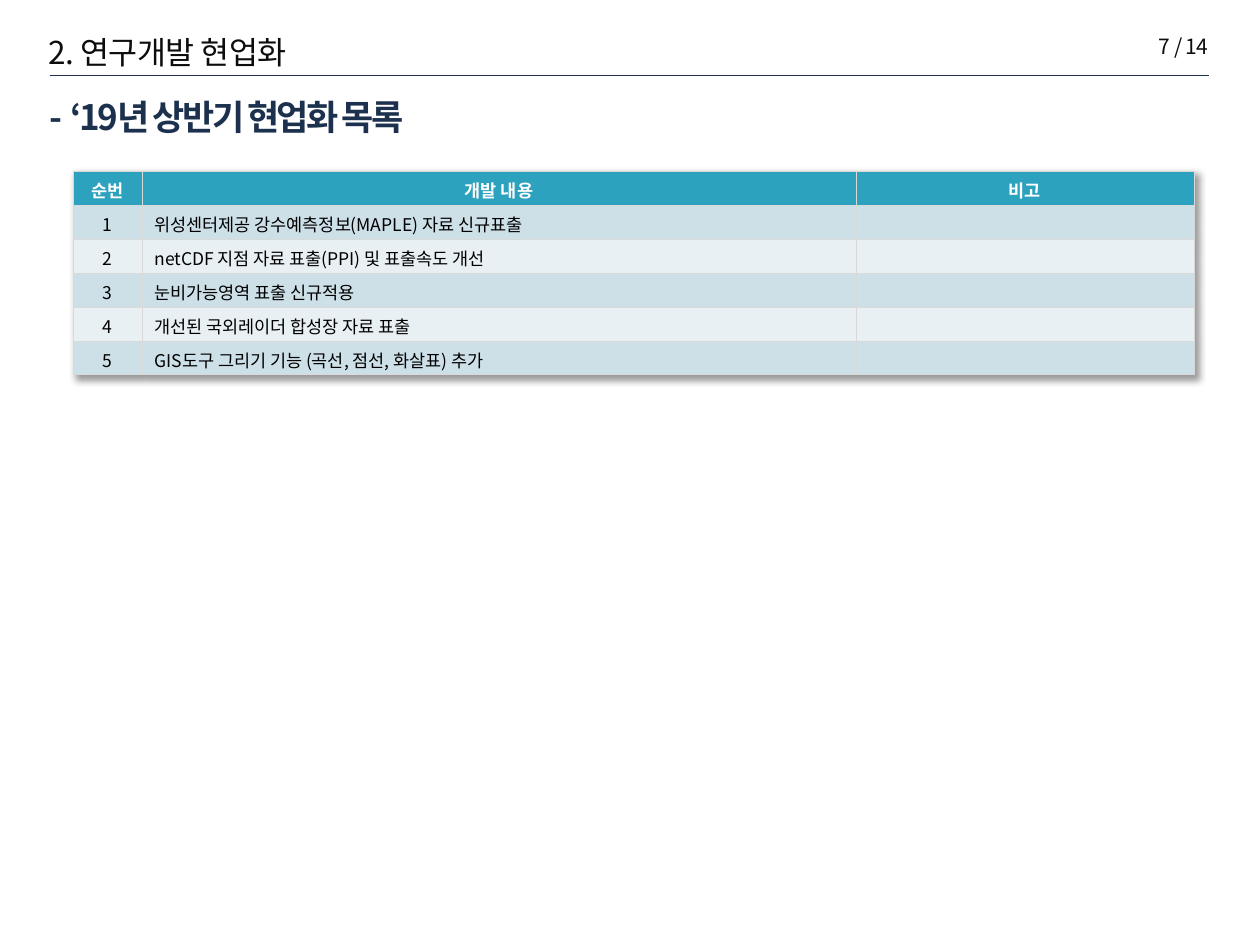
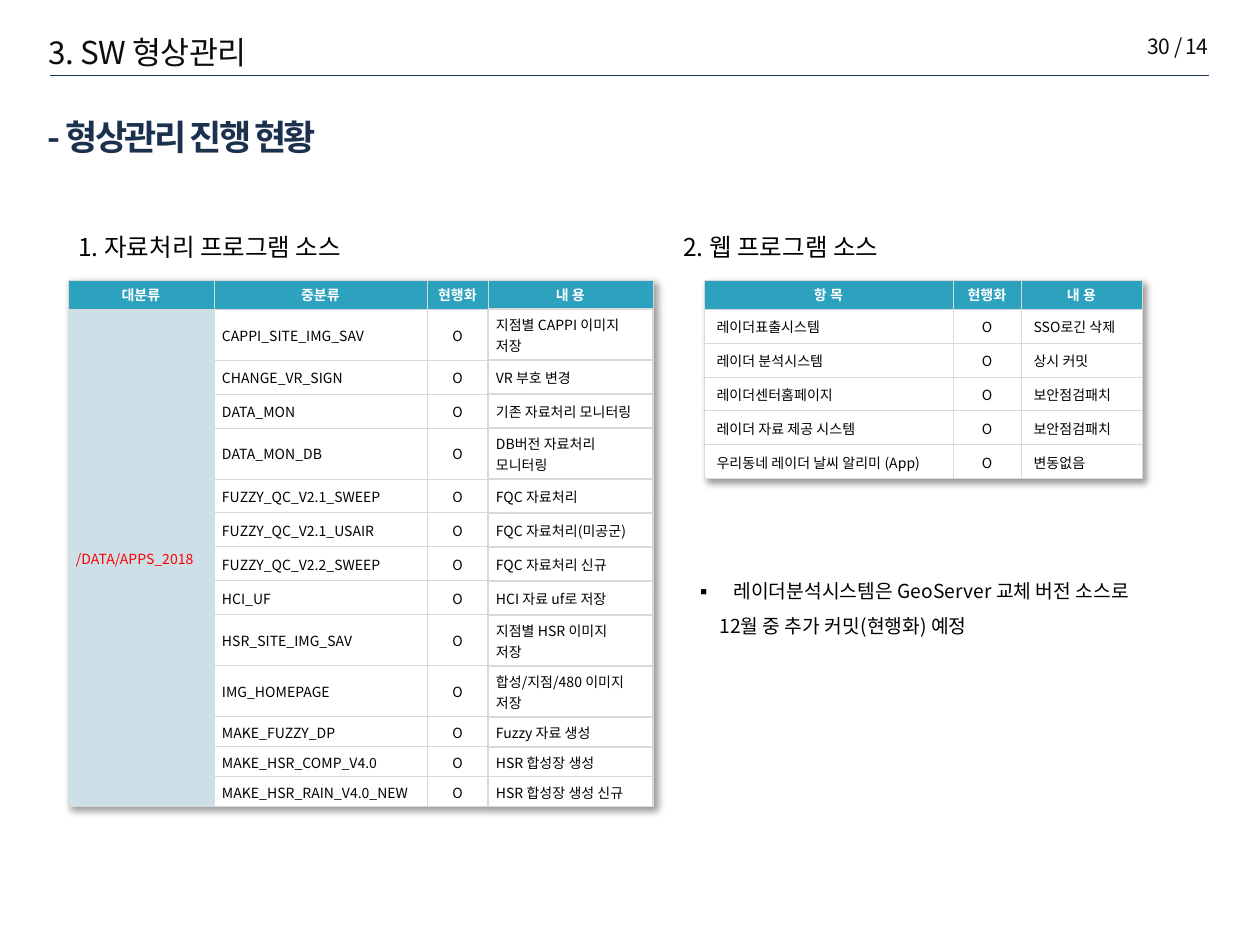
import pptx
import pptx.util
import pptx.dml.color
import pptx.enum.shapes
import pptx.enum.text
import pptx.oxml
import pptx.oxml.ns
import lxml.etree

SCALE = 914400 / 126
FONT = "Noto Sans CJK KR"
NAVY = "1C314E"
INK = "0D0D0D"
BLACK = "000000"
WHITE = "FFFFFF"
RED = "FF0000"
TEAL = "2DA2BF"
PALE = "CDE0E8"
LIGHT = "E8F0F4"
GRID = "D9D9D9"
SHADE = (
    '<a:effectLst xmlns:a="http://schemas.openxmlformats.org/drawingml/2006/main">'
    '<a:outerShdw blurRad="50800" dist="38100" dir="2700000" algn="tl" rotWithShape="0">'
    '<a:srgbClr val="000000"><a:alpha val="40000"/></a:srgbClr>'
    '</a:outerShdw></a:effectLst>'
)
ALIGN = {
    "l": pptx.enum.text.PP_ALIGN.LEFT,
    "c": pptx.enum.text.PP_ALIGN.CENTER,
    "r": pptx.enum.text.PP_ALIGN.RIGHT,
}
TOP = pptx.enum.text.MSO_ANCHOR.TOP
MID = pptx.enum.text.MSO_ANCHOR.MIDDLE
LOW = pptx.enum.text.MSO_ANCHOR.BOTTOM


def px(num):
    return pptx.util.Emu(round(num * SCALE))


def rgb(hue):
    return pptx.dml.color.RGBColor.from_string(hue)


def sub(node, tag, **attrs):
    return lxml.etree.SubElement(node, pptx.oxml.ns.qn(tag), **attrs)


def add_run(para, text, size, hue, bold=False, gap=0):
    run = para.add_run()
    run.text = text
    run.font.size = pptx.util.Pt(size)
    run.font.bold = bold
    run.font.color.rgb = rgb(hue)
    run.font.name = FONT
    props = run._r.get_or_add_rPr()
    props.set("kern", "0")
    sub(props, "a:ea", typeface=FONT)
    if gap:
        props.set("spc", str(round(gap * 100)))


def add_box(slide, left, top, width, height, anchor=TOP):
    box = slide.shapes.add_textbox(px(left), px(top), px(width), px(height))
    frame = box.text_frame
    frame.word_wrap = True
    frame.vertical_anchor = anchor
    return frame


def add_label(slide, left, top, width, height, text, size, hue=BLACK, side="l", gap=0):
    para = add_box(slide, left, top, width, height).paragraphs[0]
    para.alignment = ALIGN[side]
    add_run(para, text, size, hue, gap=gap)


def add_head(slide, title, page):
    add_label(slide, 36, 27, 451, 51, title, 18, INK, gap=-0.3)
    line = slide.shapes.add_connector(
        pptx.enum.shapes.MSO_CONNECTOR.STRAIGHT, px(50), px(75), px(1209), px(75))
    line.line.color.rgb = rgb(NAVY)
    line.line.width = pptx.util.Pt(0.25)
    sub(line._element.spPr, "a:effectLst")
    add_label(slide, 1003, 27, 218, 38, page + " / 14", 12, INK, "r", -0.3)


def add_topic(slide, left, top, text, gap):
    para = add_box(slide, left, top, 964, 81, MID).paragraphs[0]
    add_run(para, "- ", 20, NAVY, True, gap)
    add_run(para, text, 20, NAVY, True, -1.5)


def add_edge(cell, side, width):
    edge = sub(cell._tc.get_or_add_tcPr(), "a:ln" + side, w=str(pptx.util.Pt(width)))
    sub(sub(edge, "a:solidFill"), "a:srgbClr", val=GRID)


def fill_cell(cell, text, size, hue, bold, side, space):
    for num, part in enumerate(text.split("\n")):
        frame = cell.text_frame
        para = frame.add_paragraph() if num else frame.paragraphs[0]
        para.alignment = ALIGN[side]
        if space:
            para.line_spacing = space
        if part:
            add_run(para, part, size, hue, bold)
        else:
            sub(para._p, "a:endParaRPr", sz=str(size * 100))


def pad_cell(cell):
    cell.margin_left = cell.margin_right = px(8)
    cell.margin_top = cell.margin_bottom = px(4)


def add_grid(slide, left, top, cols, highs, rows, sides, size, tone,
             tight=None, span=False):
    shape = slide.shapes.add_table(
        len(rows), len(cols), px(left), px(top), px(sum(cols)), px(sum(highs)))
    grid = shape.table
    grid.first_row = grid.horz_banding = False
    grid._tbl.tblPr.insert(0, pptx.oxml.parse_xml(SHADE))
    for col, width in zip(grid.columns, cols):
        col.width = px(width)
    for row, high in zip(grid.rows, highs):
        row.height = px(high)
    if span:
        grid.cell(1, 0).merge(grid.cell(len(rows) - 1, 0))
    last = len(cols) - 1
    for r, row in enumerate(rows):
        for c, text in enumerate(row):
            cell = grid.cell(r, c)
            for side in "LRTB":
                thick = span and r and (c == last or (c == last - 1 and side == "R"))
                add_edge(cell, side, 1 if thick else 0.5)
            cell.fill.solid()
            cell.fill.fore_color.rgb = rgb(tone(r, c) if r else TEAL)
            if tight:
                cell.vertical_anchor = MID if r else LOW
                if tight(r, c):
                    pad_cell(cell)
            hue = WHITE if r == 0 else RED if span and c == 0 else BLACK
            space = (1.04 if r else 1.03) if tight else None
            fill_cell(cell, text, size, hue, r == 0, sides[c] if r else "c", space)


def add_note(slide, lines):
    frame = add_box(slide, 682, 562, 525, 78)
    for num, text in enumerate(lines):
        para = frame.add_paragraph() if num else frame.paragraphs[0]
        props = para._p.get_or_add_pPr()
        props.set("marL", str(px(25 if num else 39)))
        props.set("indent", str(px(0 if num else -46)))
        para.line_spacing = 1.5
        if num == 0:
            sub(props, "a:buFont", typeface=FONT)
            sub(props, "a:buChar", char="▪")
        add_run(para, text, 11, BLACK)


def add_list(slide):
    add_head(slide, "2. 연구개발 현업화", "7")
    works = [
        "위성센터제공 강수예측정보(MAPLE) 자료 신규표출",
        "netCDF 지점 자료 표출(PPI) 및 표출속도 개선",
        "눈비가능영역 표출 신규적용",
        "개선된 국외레이더 합성장 자료 표출",
        "GIS도구 그리기 기능 (곡선, 점선, 화살표) 추가",
    ]
    rows = [("순번", "개발 내용", "비고")]
    rows += [(str(num), work, "") for num, work in enumerate(works, 1)]
    add_grid(slide, 73, 171, (69, 714, 338), [34] * len(rows), rows, "cll", 10,
             lambda r, c: PALE if r % 2 else LIGHT)
    add_topic(slide, 37, 76, "‘19년 상반기 현업화 목록", 0)


def add_state(slide):
    add_head(slide, "3. SW 형상관리", "30")
    add_label(slide, 66, 226, 556, 43, "1. 자료처리 프로그램 소스", 14)
    add_label(slide, 671, 226, 456, 43, "2. 웹 프로그램 소스", 14)
    add_note(slide, ["레이더분석시스템은 GeoServer 교체 버전 소스로",
                     "12월 중 추가 커밋(현행화) 예정"])
    add_topic(slide, 35, 96, "형상관리 진행 현황", -1.5)
    tools = [
        ("CAPPI_SITE_IMG_SAV", "지점별 CAPPI 이미지\n저장"),
        ("CHANGE_VR_SIGN", "VR 부호 변경"),
        ("DATA_MON", "기존 자료처리 모니터링"),
        ("DATA_MON_DB", "DB버전 자료처리\n모니터링"),
        ("FUZZY_QC_V2.1_SWEEP", "FQC 자료처리"),
        ("FUZZY_QC_V2.1_USAIR", "FQC 자료처리(미공군)"),
        ("FUZZY_QC_V2.2_SWEEP", "FQC 자료처리 신규"),
        ("HCI_UF", "HCI 자료 uf로 저장"),
        ("HSR_SITE_IMG_SAV", "지점별 HSR 이미지\n저장"),
        ("IMG_HOMEPAGE", "합성/지점/480 이미지\n저장"),
        ("MAKE_FUZZY_DP", "Fuzzy 자료 생성"),
        ("MAKE_HSR_COMP_V4.0", "HSR 합성장 생성"),
        ("MAKE_HSR_RAIN_V4.0_NEW", "HSR 합성장 생성 신규"),
    ]
    rows = [("대분류", "중분류", "현행화", "내 용")]
    rows += [("" if num else "/DATA/APPS_2018", name, "O", text)
             for num, (name, text) in enumerate(tools)]
    highs = [29]
    highs += [51 if "\n" in text else 30 if name.startswith("MAKE") else 34
              for name, text in tools]
    add_grid(slide, 68, 280, (146, 213, 61, 165), highs, rows,
             "llcl", 8, lambda r, c: WHITE if c else PALE,
             lambda r, c: r == 0 or c != 2 or r > 10, True)
    webs = [
        ("레이더표출시스템", "SSO로긴 삭제"),
        ("레이더 분석시스템", "상시 커밋"),
        ("레이더센터홈페이지", "보안점검패치"),
        ("레이더 자료 제공 시스템", "보안점검패치"),
        ("우리동네 레이더 날씨 알리미 (App)", "변동없음"),
    ]
    rows = [("항 목", "현행화", "내 용")]
    rows += [(name, "O", text) for name, text in webs]
    add_grid(slide, 704, 280, (249, 68, 121), [29] + [34] * len(webs), rows, "lcl", 8,
             lambda r, c: WHITE, lambda r, c: r == 0)


def main():
    deck = pptx.Presentation()
    deck.slide_width = px(1260)
    deck.slide_height = px(945)
    for build in (add_list, add_state):
        build(deck.slides.add_slide(deck.slide_layouts[6]))
    deck.save("out.pptx")


if __name__ == "__main__":
    main()
